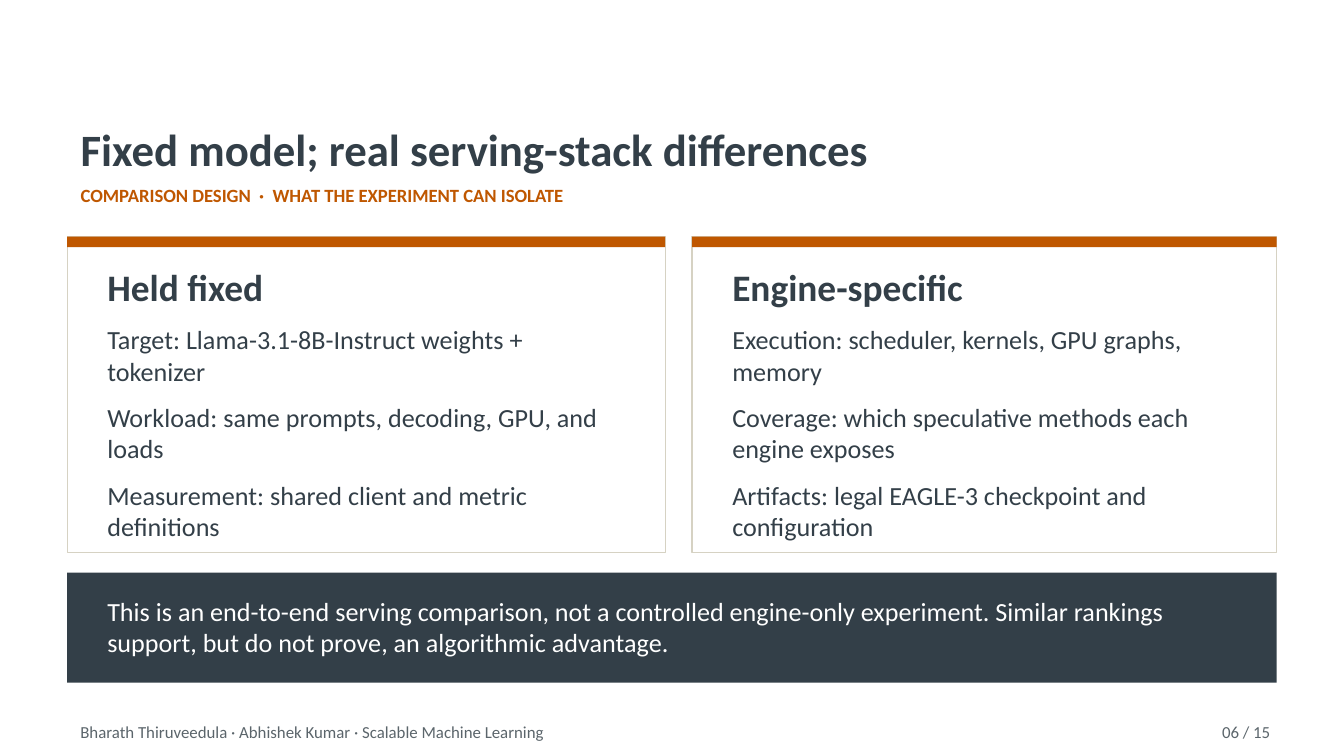
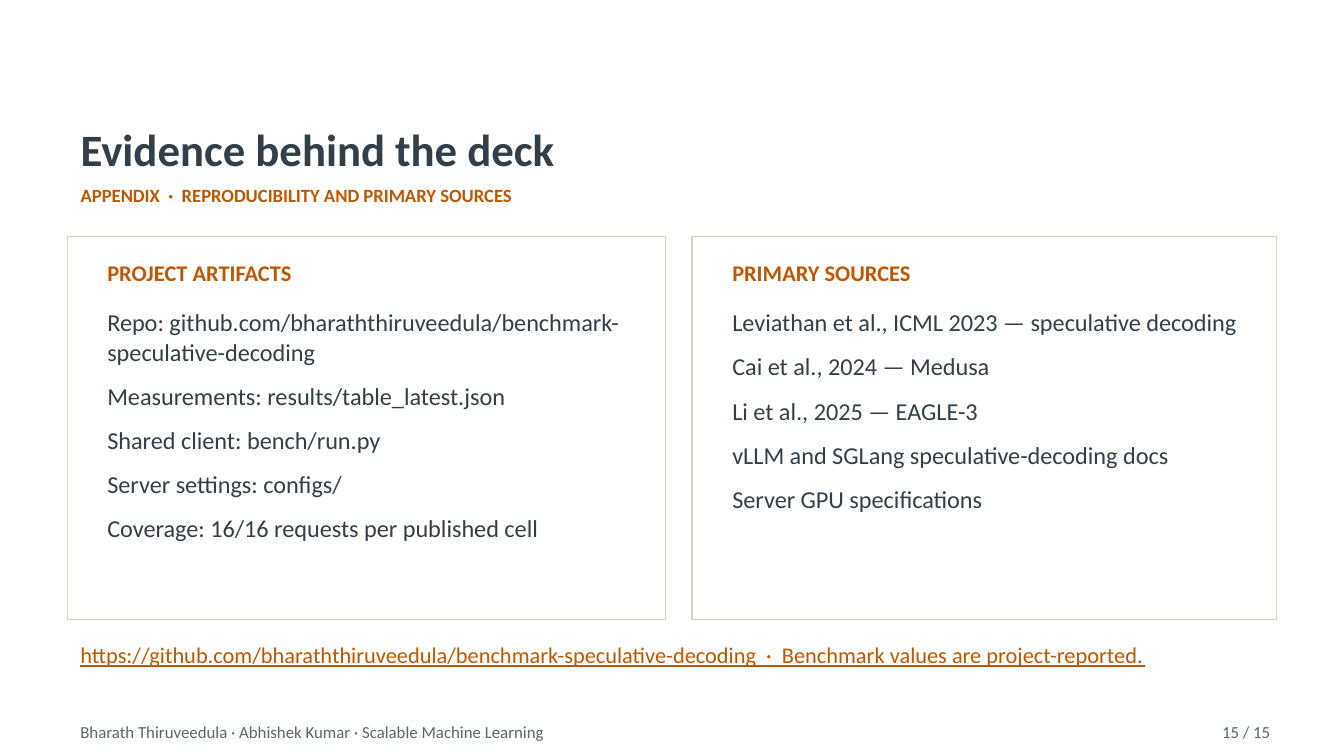
from pptx import Presentation, util as u
from pptx.dml.color import RGBColor
from pptx.enum import shapes, text

COLORS = {
    "ink": "333F48",
    "accent": "BF5700",
    "paper": "FFFFFF",
    "border": "D6D2C3",
    "muted": "5B656B",
}
FONT = "Calibri"
CELL = u.Inches(0.1)  # the page is a grid of 100 columns by 56.25 rows
COLUMNS, ROWS = 100, 56.25
MARGIN, PADDING = 5, 2
CONTENT = COLUMNS - 2 * MARGIN
CARD_TOP = 17.6
CARD_SPANS = [(MARGIN, 44.5), (51.5, 43.5)]  # left column and width
SLIDE_TOTAL = 15
AUTHORS = "Bharath Thiruveedula · Abhishek Kumar · Scalable Machine Learning"


def color(name):
    return RGBColor.from_string(COLORS[name])


def grid(*cells):
    return [round(cell * CELL) for cell in cells]


def add_line(para, words, size, ink, bold=False, underline=False):
    span = para.add_run()
    span.text = words
    span.font.name = FONT
    span.font.size = u.Pt(size)
    span.font.bold = bold
    span.font.underline = underline
    span.font.color.rgb = color(ink)


def add_text(page, area, lines, size, ink, align=None, grow=False, **style):
    """Write one paragraph per line, 8 points apart, in a wrapped box."""
    frame = page.shapes.add_textbox(*grid(*area)).text_frame
    frame.word_wrap = True
    fit = text.MSO_AUTO_SIZE
    frame.auto_size = fit.SHAPE_TO_FIT_TEXT if grow else fit.NONE
    for index, words in enumerate(lines):
        para = frame.add_paragraph() if index else frame.paragraphs[0]
        if index:
            para.space_before = u.Pt(8)
        if align:
            para.alignment = align
        add_line(para, words, size, ink, **style)


def add_block(page, area, fill, border=None):
    block = page.shapes.add_shape(shapes.MSO_SHAPE.RECTANGLE, *grid(*area))
    block.shadow.inherit = False
    block.fill.solid()
    block.fill.fore_color.rgb = color(fill)
    if border:
        block.line.color.rgb = color(border)
        block.line.width = u.Pt(0.75)
    else:
        block.line.fill.background()


def add_page(deck, number, title, kicker):
    """Add a page with its two-line title and its footer."""
    page = deck.slides.add_slide(deck.slide_layouts[5])
    page.background.fill.solid()
    page.background.fill.fore_color.rgb = color("paper")
    box = page.shapes.title
    box.left, box.top, box.width, box.height = grid(MARGIN, 7.5, CONTENT, 9.4)
    frame = box.text_frame
    frame.word_wrap = True
    frame.auto_size = text.MSO_AUTO_SIZE.NONE
    frame.vertical_anchor = text.MSO_ANCHOR.MIDDLE
    heading, subheading = frame.paragraphs[0], frame.add_paragraph()
    add_line(heading, title, 24, "ink", bold=True)
    add_line(subheading, kicker, 10, "accent", bold=True)
    heading.space_before = u.Pt(0)
    subheading.space_before = u.Pt(4)
    for para in (heading, subheading):
        para.alignment = text.PP_ALIGN.LEFT

    add_text(page, (MARGIN, 53.2, 68, 2.2), [AUTHORS], 9, "muted")
    add_text(page, (85.5, 53.2, 10, 2.2), [f"{number:02} / {SLIDE_TOTAL}"], 9,
             "muted", align=text.PP_ALIGN.RIGHT)
    return page


def add_topic_card(page, span, heading, lines):
    left, width = span
    inner, inner_width = left + PADDING, width - 2 * PADDING
    add_block(page, (left, CARD_TOP, width, 23.5), "paper", "border")
    add_block(page, (left, CARD_TOP, width, 0.8), "accent")
    add_text(page, (inner, 19.2, inner_width, 3.6), [heading], 20, "ink", bold=True)
    add_text(page, (inner, 23.6, inner_width, 15.5), lines, 14, "ink", grow=True)


def add_source_card(page, span, heading, lines):
    left, width = span
    inner, inner_width = left + PADDING, width - 2 * PADDING
    add_block(page, (left, CARD_TOP, width, 28.5), "paper", "border")
    add_text(page, (inner, 18.8, inner_width, 3), [heading], 12, "accent", bold=True)
    add_text(page, (inner, 22.4, inner_width, 22), lines, 13, "ink", grow=True)


def add_takeaway(page, words):
    add_block(page, (MARGIN, 42.6, CONTENT, 8.2), "ink")
    add_text(page, (MARGIN + PADDING, 43.8, CONTENT - 2 * PADDING, 5.8),
             [words], 14, "paper")


def build_comparison(deck):
    page = add_page(deck, 6, "Fixed model; real serving-stack differences",
                    "COMPARISON DESIGN  ·  WHAT THE EXPERIMENT CAN ISOLATE")
    cards = [
        ("Held fixed", [
            "Target: Llama-3.1-8B-Instruct weights + tokenizer",
            "Workload: same prompts, decoding, GPU, and loads",
            "Measurement: shared client and metric definitions",
        ]),
        ("Engine-specific", [
            "Execution: scheduler, kernels, GPU graphs, memory",
            "Coverage: which speculative methods each engine exposes",
            "Artifacts: legal EAGLE-3 checkpoint and configuration",
        ]),
    ]
    for span, (heading, lines) in zip(CARD_SPANS, cards):
        add_topic_card(page, span, heading, lines)
    add_takeaway(page, "This is an end-to-end serving comparison, not a controlled "
                       "engine-only experiment. Similar rankings support, but do "
                       "not prove, an algorithmic advantage.")


def build_evidence(deck):
    page = add_page(deck, 15, "Evidence behind the deck",
                    "APPENDIX  ·  REPRODUCIBILITY AND PRIMARY SOURCES")
    cards = [
        ("PROJECT ARTIFACTS", [
            "Repo: github.com/bharaththiruveedula/benchmark-speculative-decoding",
            "Measurements: results/table_latest.json",
            "Shared client: bench/run.py",
            "Server settings: configs/",
            "Coverage: 16/16 requests per published cell",
        ]),
        ("PRIMARY SOURCES", [
            "Leviathan et al., ICML 2023 — speculative decoding",
            "Cai et al., 2024 — Medusa",
            "Li et al., 2025 — EAGLE-3",
            "vLLM and SGLang speculative-decoding docs",
            "Server GPU specifications",
        ]),
    ]
    for span, (heading, lines) in zip(CARD_SPANS, cards):
        add_source_card(page, span, heading, lines)
    add_text(page, (MARGIN, 47.2, CONTENT, 3.6),
             ["https://github.com/bharaththiruveedula/benchmark-speculative-decoding"
              "  ·  Benchmark values are project-reported."],
             12, "accent", underline=True)


def main():
    deck = Presentation()
    deck.slide_width, deck.slide_height = grid(COLUMNS, ROWS)
    build_comparison(deck)
    build_evidence(deck)
    deck.save("out.pptx")


if __name__ == "__main__":
    main()
